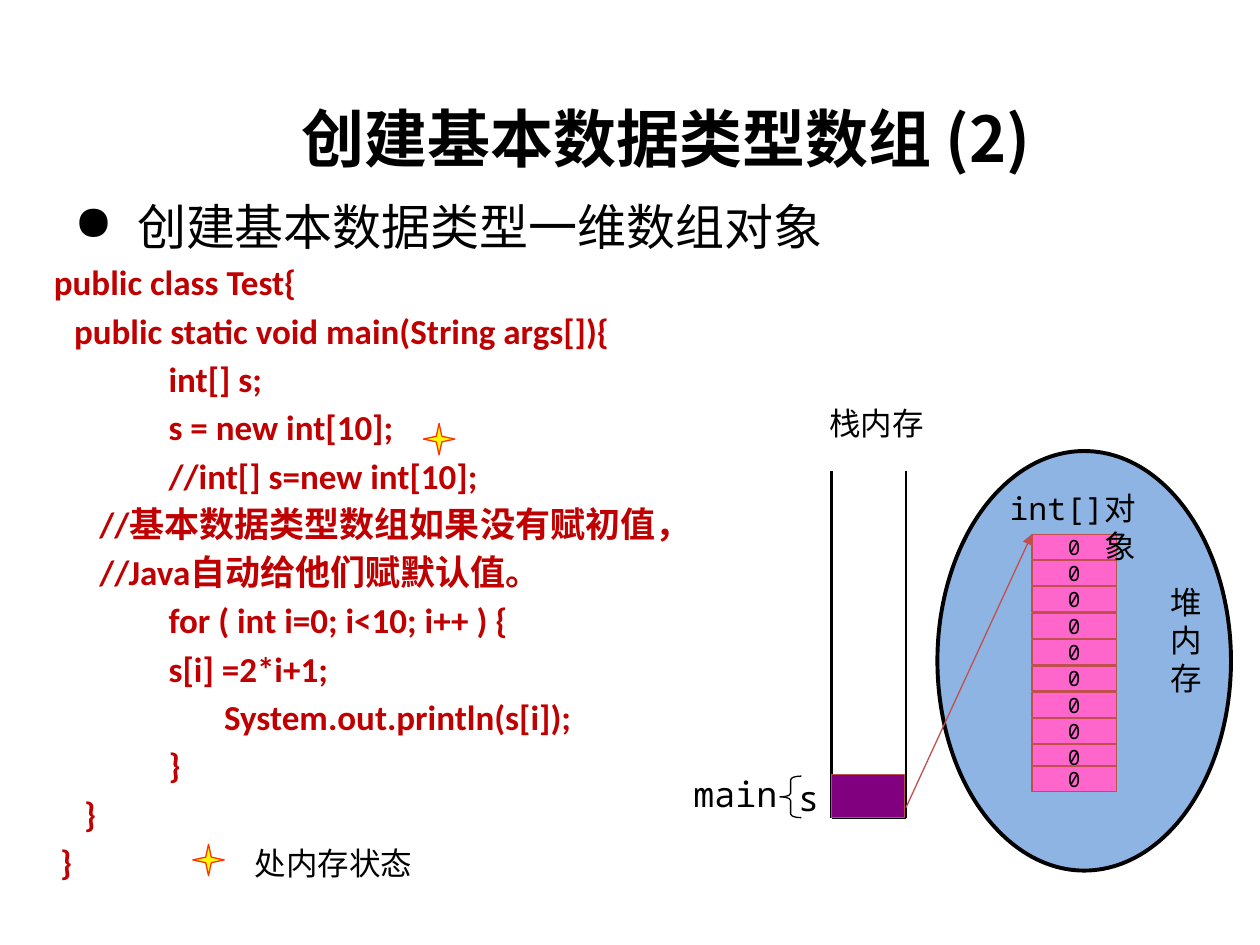
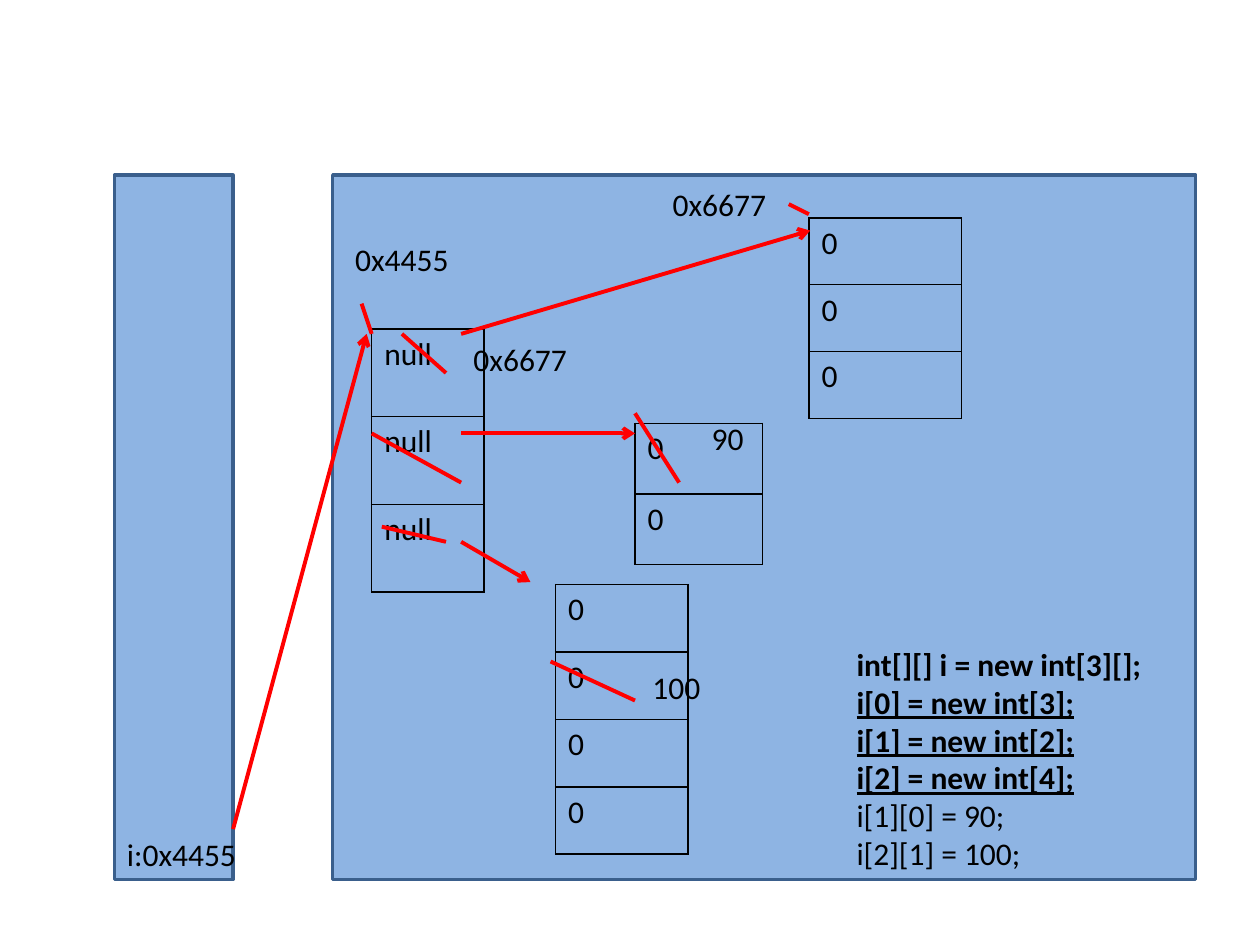
from dataclasses import dataclass
from typing import NamedTuple

import pptx
import pptx.dml.color
import pptx.enum.shapes
import pptx.enum.text
import pptx.oxml
import pptx.oxml.ns
import pptx.oxml.xmlchemy
import pptx.shapes.autoshape
import pptx.slide
import pptx.text.text
import pptx.util
from pptx.util import Inches

ALIGN = pptx.enum.text.PP_ALIGN
ANCHOR = pptx.enum.text.MSO_ANCHOR
SHAPE = pptx.enum.shapes.MSO_SHAPE


@dataclass(frozen=True)
class Theme:
    black: str = "000000"
    code_red: str = "C00000"
    heap_blue: str = "8EB4E3"
    panel_edge: str = "3A5F8C"
    frame_purple: str = "800080"
    cell_pink: str = "FF66CC"
    cell_edge: str = "C0504D"
    star_yellow: str = "FFFF00"
    star_edge: str = "FF3300"
    mark_red: str = "FF0000"
    title_size: float = 36
    heading_size: float = 28
    code_size: float = 20
    label_size: float = 18
    cell_size: float = 12
    chinese: str = "Noto Sans CJK SC"
    latin: str = "Calibri"
    mono: str = "Noto Sans Mono"


THEME = Theme()


class Box(NamedTuple):
    left: float
    top: float
    width: float
    height: float

    def lengths(self) -> list[pptx.util.Length]:
        return [Inches(value) for value in self]


class Style(NamedTuple):
    font: str
    size: float
    color: str = THEME.black
    bold: bool = False
    underline: bool = False


class Label(NamedTuple):
    text: str
    box: Box
    style: Style
    align: ALIGN = ALIGN.LEFT
    inset: float = 0.05


class Line(NamedTuple):
    start: tuple[float, float]
    end: tuple[float, float]
    color: str = THEME.mark_red
    width: float = 2.25
    head: str = ""


class CodeLine(NamedTuple):
    text: str
    indent: float


class Grid(NamedTuple):
    box: Box
    values: list[str]


TITLE = Style(THEME.chinese, THEME.title_size, bold=True)
HEADING = Style(THEME.chinese, THEME.heading_size)
CODE = Style(THEME.latin, THEME.code_size, THEME.code_red, bold=True)
MONO = Style(THEME.mono, THEME.label_size)
MONO_LARGE = MONO._replace(size=THEME.code_size)
MONO_CELL = MONO._replace(size=THEME.cell_size)
PLAIN = Style(THEME.latin, THEME.label_size)
BOLD = PLAIN._replace(bold=True)
UNDERLINED = BOLD._replace(underline=True)


def rgb(color: str) -> pptx.dml.color.RGBColor:
    return pptx.dml.color.RGBColor.from_string(color)


def add_element(parent: pptx.oxml.xmlchemy.BaseOxmlElement, tag: str,
                **attributes: str) -> pptx.oxml.xmlchemy.BaseOxmlElement:
    element = pptx.oxml.xmlchemy.OxmlElement(tag)
    for name, value in attributes.items():
        element.set(name, value)
    parent.append(element)
    return element


def write(paragraph: pptx.text.text._Paragraph, text: str, style: Style,
          align: ALIGN = ALIGN.LEFT) -> None:
    paragraph.text = text
    paragraph.alignment = align
    for run in paragraph.runs:
        run.font.name = style.font
        run.font.size = pptx.util.Pt(style.size)
        run.font.bold = style.bold
        run.font.underline = style.underline
        run.font.color.rgb = rgb(style.color)
        add_element(run.font._element, "a:ea", typeface=style.font)


def indent(paragraph: pptx.text.text._Paragraph, margin: float, first: float = 0) -> None:
    properties = paragraph._p.get_or_add_pPr()
    properties.set("marL", str(Inches(margin)))
    properties.set("indent", str(Inches(first)))


def set_frame(frame: pptx.text.text.TextFrame, inset: float, anchor: ANCHOR) -> None:
    frame.word_wrap = True
    frame.vertical_anchor = anchor
    frame.margin_top = frame.margin_bottom = Inches(inset)


def add_text_frame(slide: pptx.slide.Slide, box: Box, inset: float = 0.05,
                   anchor: ANCHOR = ANCHOR.TOP) -> pptx.text.text.TextFrame:
    frame = slide.shapes.add_textbox(*box.lengths()).text_frame
    set_frame(frame, inset, anchor)
    return frame


def add_paragraphs(frame: pptx.text.text.TextFrame,
                   texts: list[str]) -> tuple[pptx.text.text._Paragraph, ...]:
    frame.text = "\n".join(texts)
    return frame.paragraphs


def add_label(slide: pptx.slide.Slide, label: Label) -> None:
    frame = add_text_frame(slide, label.box, label.inset)
    write(frame.paragraphs[0], label.text, label.style, label.align)


def add_line(slide: pptx.slide.Slide, line: Line) -> None:
    connector = slide.shapes.add_connector(
        pptx.enum.shapes.MSO_CONNECTOR.STRAIGHT,
        *(Inches(value) for value in (*line.start, *line.end)))
    connector.line.color.rgb = rgb(line.color)
    connector.line.width = pptx.util.Pt(line.width)
    if line.head:
        add_element(connector.line._get_or_add_ln(), "a:tailEnd", type=line.head)
    add_element(connector._element.spPr, "a:effectLst")


def add_shape(slide: pptx.slide.Slide, kind: SHAPE, box: Box, fill: str, edge: str,
              width: float = 0.75,
              adjustments: tuple[float, ...] = ()) -> pptx.shapes.autoshape.Shape:
    shape = slide.shapes.add_shape(kind, *box.lengths())
    shape.shadow.inherit = False
    if fill:
        shape.fill.solid()
        shape.fill.fore_color.rgb = rgb(fill)
    else:
        shape.fill.background()
    shape.line.color.rgb = rgb(edge)
    shape.line.width = pptx.util.Pt(width)
    for index, value in enumerate(adjustments):
        shape.adjustments[index] = value
    return shape


def add_grid(slide: pptx.slide.Slide, grid: Grid) -> None:
    """Draw a one-column table with thin black borders and no fill."""
    table = slide.shapes.add_table(len(grid.values), 1, *grid.box.lengths()).table
    table.first_row = table.horz_banding = False
    for row, value in enumerate(grid.values):
        table.rows[row].height = Inches(grid.box.height / len(grid.values))
        cell = table.cell(row, 0)
        write(cell.text_frame.paragraphs[0], value, PLAIN)
        properties = cell._tc.get_or_add_tcPr()
        for side in ("L", "R", "T", "B"):
            border = add_element(properties, f"a:ln{side}", w=str(pptx.util.Pt(1)))
            add_element(add_element(border, "a:solidFill"), "a:srgbClr", val=THEME.black)
        cell.fill.background()


def add_code(slide: pptx.slide.Slide) -> None:
    lines = [
        CodeLine("public class Test{", 0.21),
        CodeLine("public static void main(String args[]){", 0.37),
        CodeLine("int[] s;", 1.12),
        CodeLine("s = new int[10];", 1.12),
        CodeLine("//int[] s=new int[10];", 1.12),
        CodeLine("//基本数据类型数组如果没有赋初值，", 0.57),
        CodeLine("//Java自动给他们赋默认值。", 0.57),
        CodeLine("for ( int i=0; i<10; i++ ) {", 1.12),
        CodeLine("s[i] =2*i+1;", 1.12),
        CodeLine("System.out.println(s[i]);", 1.56),
        CodeLine("}", 1.12),
        CodeLine("}", 0.45),
        CodeLine("}", 0.26),
    ]
    frame = add_text_frame(slide, Box(0.12, 2.02, 5.6, 5.28))
    for paragraph, line in zip(add_paragraphs(frame, [line.text for line in lines]), lines):
        write(paragraph, line.text, CODE)
        indent(paragraph, line.indent)
        paragraph.space_before = pptx.util.Pt(3.6)


def build_array_slide(slide: pptx.slide.Slide) -> None:
    heading = add_text_frame(slide, Box(0.49, 1.51, 7.58, 0.57)).paragraphs[0]
    write(heading, "创建基本数据类型一维数组对象", HEADING)
    indent(heading, 0.5, -0.5)
    add_element(heading._p.get_or_add_pPr(), "a:buChar", char="●")

    left, right, top, bottom = 6.6, 7.19, 3.74, 6.49
    for start, end in (((left, top), (left, bottom)), ((right, top), (right, bottom)),
                       ((left, bottom), (right, bottom))):
        add_line(slide, Line(start, end, THEME.black, 1.5))
    add_shape(slide, SHAPE.LEFT_BRACE, Box(6.19, 6.16, 0.17, 0.33), "", THEME.black,
              adjustments=(0.167, 0.5))
    add_shape(slide, SHAPE.RECTANGLE, Box(left, 6.15, 0.58, 0.34),
              THEME.frame_purple, THEME.cell_edge)
    add_shape(slide, SHAPE.OVAL, Box(7.44, 3.58, 2.33, 3.33),
              THEME.heap_blue, THEME.black, 2.25)

    cell_left, cell_top = 8.19, 4.24
    for top in [cell_top + 0.209 * row for row in range(9)] + [6.08]:
        cell = add_shape(slide, SHAPE.RECTANGLE, Box(cell_left, top, 0.67, 0.2),
                         THEME.cell_pink, THEME.cell_edge)
        set_frame(cell.text_frame, 0, ANCHOR.TOP)
        write(cell.text_frame.paragraphs[0], "0", MONO_CELL, ALIGN.CENTER)
    add_line(slide, Line((right, 6.41), (cell_left, cell_top), THEME.cell_edge, 0.75,
                         "triangle"))

    for label in (
        Label("main", Box(5.27, 6.08, 1, 0.43), MONO_LARGE, ALIGN.RIGHT),
        Label("栈内存", Box(6.1, 3.16, 1.33, 0.4), MONO, ALIGN.RIGHT),
        Label("s", Box(6.1, 6.16, 0.5, 0.33), MONO_LARGE, ALIGN.RIGHT, 0),
        Label("int[]对象", Box(7.69, 3.83, 1.42, 0.4), MONO, ALIGN.RIGHT),
        Label("堆内存", Box(9.19, 4.58, 0.42, 1.01), MONO, ALIGN.RIGHT),
        Label("处内存状态", Box(1.2, 6.7, 2.17, 0.3), MONO, ALIGN.RIGHT, 0),
    ):
        add_label(slide, label)
    add_code(slide)
    for left, top in ((1.53, 6.7), (3.36, 3.36)):
        add_shape(slide, SHAPE.STAR_4_POINT, Box(left, top, 0.25, 0.25),
                  THEME.star_yellow, THEME.star_edge, adjustments=(0.125,))
    title = add_text_frame(slide, Box(1.72, 0.71, 7.13, 0.76), anchor=ANCHOR.MIDDLE)
    write(title.paragraphs[0], "创建基本数据类型数组 (2)", TITLE, ALIGN.CENTER)


def build_memory_slide(slide: pptx.slide.Slide) -> None:
    for left, width in ((0.91, 0.94), (2.64, 6.85)):
        add_shape(slide, SHAPE.RECTANGLE, Box(left, 1.39, width, 5.59),
                  THEME.heap_blue, THEME.panel_edge, 2)
    statements = [("int[][] i = new int[3][];", BOLD)]
    statements += [(f"i[{row}] = new int[{size}];", UNDERLINED)
                   for row, size in enumerate((3, 2, 4))]
    statements += [("i[1][0] = 90;", PLAIN), ("i[2][1] = 100;", PLAIN)]
    frame = add_text_frame(slide, Box(6.7, 5.07, 2.74, 1.92))
    paragraphs = add_paragraphs(frame, [text for text, _ in statements])
    for paragraph, (text, style) in zip(paragraphs, statements):
        write(paragraph, text, style)

    for grid in (
        Grid(Box(2.95, 2.61, 0.89, 2.09), ["null"] * 3),
        Grid(Box(6.42, 1.73, 1.21, 1.59), ["0"] * 3),
        Grid(Box(5.04, 3.36, 1.01, 1.12), ["0"] * 2),
        Grid(Box(4.41, 4.64, 1.05, 2.14), ["0"] * 4),
    ):
        add_grid(slide, grid)
    for text, left, top, width in (
        ("i:0x4455", 0.91, 6.58, 1.1), ("0x4455", 2.72, 1.86, 1.65),
        ("0x6677", 5.24, 1.42, 1.18), ("0x6677", 3.66, 2.65, 1.43),
        ("90", 5.55, 3.28, 0.87), ("100", 5.08, 5.25, 1.26),
    ):
        add_label(slide, Label(text, Box(left, top, width, 0.4), PLAIN))

    strokes = (
        ((2.87, 2.41), (2.95, 2.65)), ((6.26, 1.62), (6.42, 1.7)),
        ((3.19, 2.65), (3.54, 2.96)), ((2.95, 3.44), (3.66, 3.83)),
        ((3.03, 4.18), (3.54, 4.3)), ((5.04, 3.28), (5.39, 3.83)),
        ((4.37, 5.25), (5.04, 5.56)),
    )
    references = (
        ((1.85, 6.58), (2.91, 2.65)), ((3.66, 2.65), (6.43, 1.83)),
        ((3.66, 3.44), (5.04, 3.44)), ((3.66, 4.3), (4.21, 4.62)),
    )
    for start, end in strokes:
        add_line(slide, Line(start, end))
    for start, end in references:
        add_line(slide, Line(start, end, head="arrow"))


def main() -> None:
    presentation = pptx.Presentation()
    presentation.slide_width, presentation.slide_height = Inches(10), Inches(7.5)
    blank = presentation.slide_layouts[6]
    for build in (build_array_slide, build_memory_slide):
        build(presentation.slides.add_slide(blank))
    presentation.save("out.pptx")


if __name__ == "__main__":
    main()
